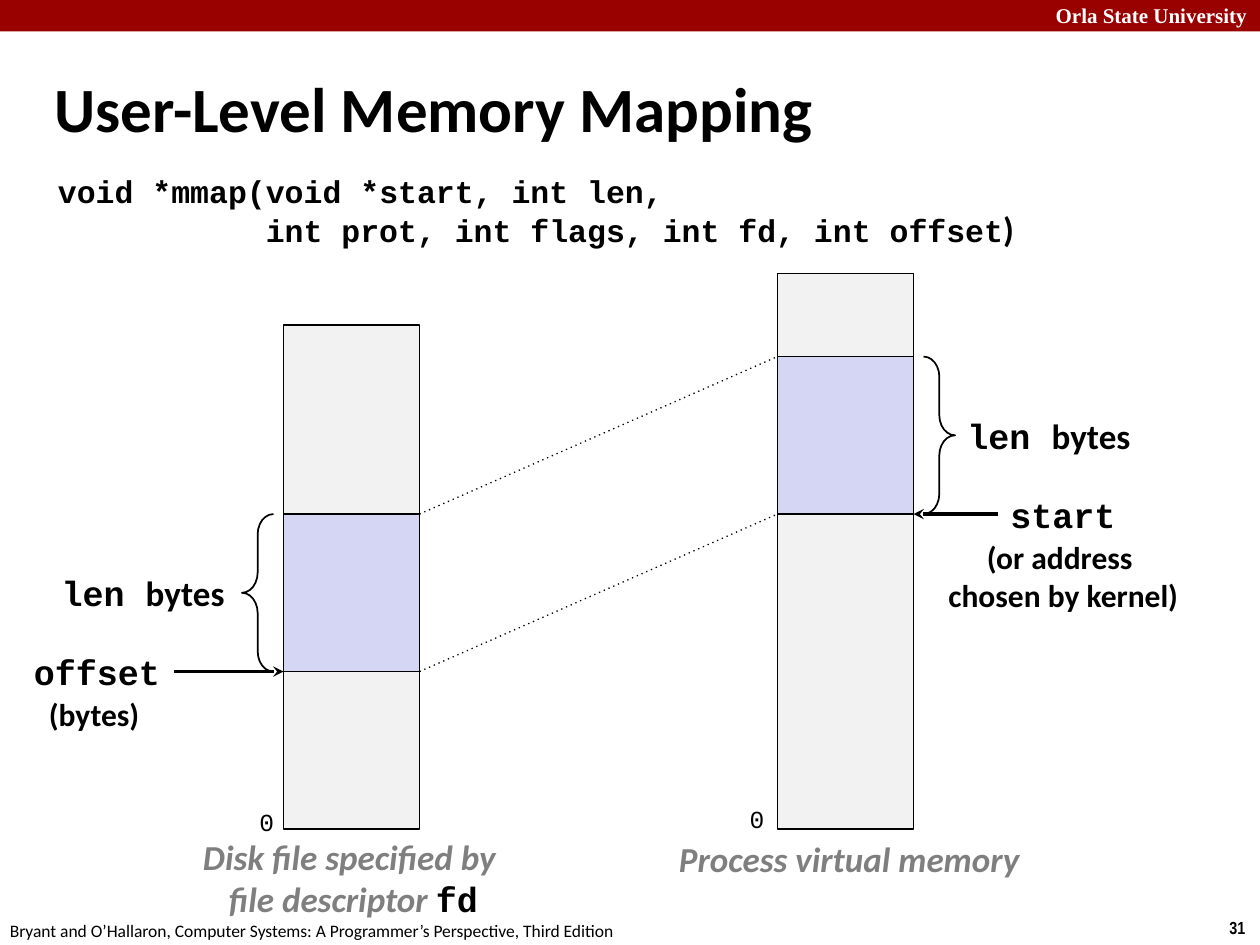
from dataclasses import dataclass

from lxml import etree
from pptx import Presentation
from pptx.dml.color import RGBColor
from pptx.enum.shapes import MSO_CONNECTOR, MSO_SHAPE
from pptx.enum.text import MSO_ANCHOR, MSO_AUTO_SIZE, PP_ALIGN
from pptx.oxml.ns import qn
from pptx.util import Inches, Pt

RECT = MSO_SHAPE.RECTANGLE
LEFT_BRACE = MSO_SHAPE.LEFT_BRACE
RIGHT_BRACE = MSO_SHAPE.RIGHT_BRACE
STRAIGHT = MSO_CONNECTOR.STRAIGHT
LEFT = PP_ALIGN.LEFT
CENTER = PP_ALIGN.CENTER
TOP = MSO_ANCHOR.TOP
MIDDLE = MSO_ANCHOR.MIDDLE
FIXED = MSO_AUTO_SIZE.NONE


@dataclass(frozen=True)
class Theme:
    black: str = "000000"
    white: str = "FFFFFF"
    red: str = "990000"
    gray: str = "7F7F7F"
    pale: str = "F2F2F2"
    blue: str = "D5D5F4"
    sans: str = "Calibri"
    mono: str = "Courier New"
    serif: str = "Times New Roman"
    slim: str = "Arial Narrow"
    head: int = 36
    big: int = 20
    mid: int = 18
    zero: int = 14
    top: int = 12
    small: int = 10


T = Theme()
FILE_X, MEM_X, BAR_W = 2.25, 6.17, 1.08
FILE_Y, MEM_Y, MAP_H = 4.08, 2.83, 1.25


def color(code):
    return RGBColor.from_string(code)


def run(text, font=T.sans, size=T.big, tint=T.black, bold=True, slant=False):
    return text, font, size, tint, bold, slant


def add_runs(para, runs):
    for text, font, size, tint, bold, slant in runs:
        part = para.add_run()
        part.text = text
        part.font.name = font
        part.font.size = Pt(size)
        part.font.color.rgb = color(tint)
        part.font.bold = bold
        part.font.italic = slant


def fill_text(frame, lines, align=LEFT):
    frame.word_wrap = True
    frame.auto_size = FIXED
    for i, runs in enumerate(lines):
        para = frame.paragraphs[0] if i == 0 else frame.add_paragraph()
        para.alignment = align
        add_runs(para, runs)


def place(shape, x, y, w, h):
    shape.left, shape.top = Inches(x), Inches(y)
    shape.width, shape.height = Inches(w), Inches(h)


def add_label(slide, spot, *lines, align=LEFT):
    box = slide.shapes.add_textbox(*map(Inches, spot))
    fill_text(box.text_frame, lines, align)


def add_box(slide, spot, fill, edge=True):
    box = slide.shapes.add_shape(RECT, *map(Inches, spot))
    box.shadow.inherit = False
    box.fill.solid()
    box.fill.fore_color.rgb = color(fill)
    if edge:
        box.line.color.rgb = color(T.black)
        box.line.width = Pt(1)
    else:
        box.line.fill.background()


def add_bar(slide, x, top, bottom, map_y):
    add_box(slide, (x, top, BAR_W, bottom - top), T.pale)
    add_box(slide, (x, map_y, BAR_W, MAP_H), T.blue)


def add_brace(slide, kind, x, y):
    brace = slide.shapes.add_shape(kind, *map(Inches, (x, y, 0.25, MAP_H)))
    brace.shadow.inherit = False
    brace.adjustments[0] = 0.64
    brace.fill.background()
    brace.line.color.rgb = color(T.black)
    brace.line.width = Pt(1)


def add_line(slide, start, end, width, tag, **attrs):
    line = slide.shapes.add_connector(STRAIGHT, *map(Inches, start + end))
    line.line.color.rgb = color(T.black)
    line.line.width = Pt(width)
    props = line.element.spPr
    etree.SubElement(props.find(qn("a:ln")), qn(tag), **attrs)
    etree.SubElement(props, qn("a:effectLst"))


def add_arrow(slide, start, end):
    add_line(slide, start, end, 2, "a:tailEnd", type="stealth")


def add_dots(slide, start, end):
    add_line(slide, start, end, 0.75, "a:prstDash", val="dot")


def set_title(slide):
    title = slide.shapes.title
    place(title, 0.33, 0.54, 7.94, 0.63)
    title.text_frame.vertical_anchor = MIDDLE
    fill_text(title.text_frame, [[run("User-Level Memory Mapping", size=T.head)]])


def set_code(slide):
    body = slide.placeholders[1]
    place(body, 0.36, 1.34, 9.09, 0.91)
    frame = body.text_frame
    frame.vertical_anchor = TOP
    fill_text(frame, [
        [run("void *mmap(void *start, int len,", T.mono, T.mid)],
        [run("int prot, int flags, int fd, int offset", T.mono, T.mid), run(")")],
    ])
    for para, gap in zip(frame.paragraphs, (0, 1.65)):
        para.line_spacing = 0.94
        para.space_before = Pt(0)
        props = para._p.get_or_add_pPr()
        props.set("marL", str(Inches(gap)))
        props.set("indent", "0")
        etree.SubElement(props, qn("a:buNone"))


def add_frame(slide):
    add_box(slide, (0, 0, 10, 0.25), T.red, edge=False)
    add_label(slide, (8.28, -0.03, 1.79, 0.3),
              [run("Orla State University", T.serif, T.top, T.white)])
    add_label(slide, (9.66, 7.23, 0.34, 0.27), [run("31", T.slim, T.small)])
    add_label(slide, (-0.02, 7.25, 5.08, 0.27),
              [run("Bryant and O’Hallaron, Computer Systems: "
                   "A Programmer’s Perspective, Third Edition",
                   size=T.small, bold=False)])


def add_map(slide):
    add_bar(slide, FILE_X, 2.58, 6.58, FILE_Y)
    add_bar(slide, MEM_X, 2.17, 6.58, MEM_Y)
    for drop in (0, MAP_H):
        add_dots(slide, (FILE_X + BAR_W, FILE_Y + drop), (MEM_X, MEM_Y + drop))
    add_brace(slide, RIGHT_BRACE, 7.33, MEM_Y)
    add_brace(slide, LEFT_BRACE, 1.92, FILE_Y)
    base = MEM_Y + MAP_H
    add_arrow(slide, (7.92, base), (MEM_X + BAR_W, base))
    base = FILE_Y + MAP_H
    add_arrow(slide, (1.38, base), (FILE_X, base))


def add_notes(slide):
    for x, y in ((7.58, 3.24), (0.39, 4.49)):
        add_label(slide, (x, y, 1.51, 0.44), [run("len ", T.mono), run("bytes")])
    for x, y in ((1.96, 6.36), (5.85, 6.33)):
        add_label(slide, (x, y, 0.32, 0.34),
                  [run("0", T.mono, T.zero, bold=False)])
    add_label(slide, (7.92, 3.87, 1.04, 0.44), [run("start", T.mono)])
    add_label(slide, (7.42, 4.22, 2.04, 0.71),
              [run("(or address ", size=T.mid)],
              [run("chosen by kernel)", size=T.mid)], align=CENTER)
    add_label(slide, (0.17, 5.11, 1.21, 0.44), [run("offset", T.mono)])
    add_label(slide, (0.29, 5.47, 0.92, 0.4), [run("(bytes)", size=T.mid)])
    add_label(slide, (5.29, 6.6, 2.92, 0.44),
              [run("Process virtual memory", tint=T.gray, slant=True)])
    add_label(slide, (1.5, 6.58, 2.61, 0.77),
              [run("Disk file specified by ", tint=T.gray, slant=True)],
              [run("file descriptor ", tint=T.gray, slant=True),
               run("fd", T.mono)], align=CENTER)


def main():
    deck = Presentation()
    deck.slide_width, deck.slide_height = Inches(10), Inches(7.5)
    slide = deck.slides.add_slide(deck.slide_layouts[1])
    add_frame(slide)
    set_title(slide)
    set_code(slide)
    add_map(slide)
    add_notes(slide)
    deck.save("out.pptx")


if __name__ == "__main__":
    main()
